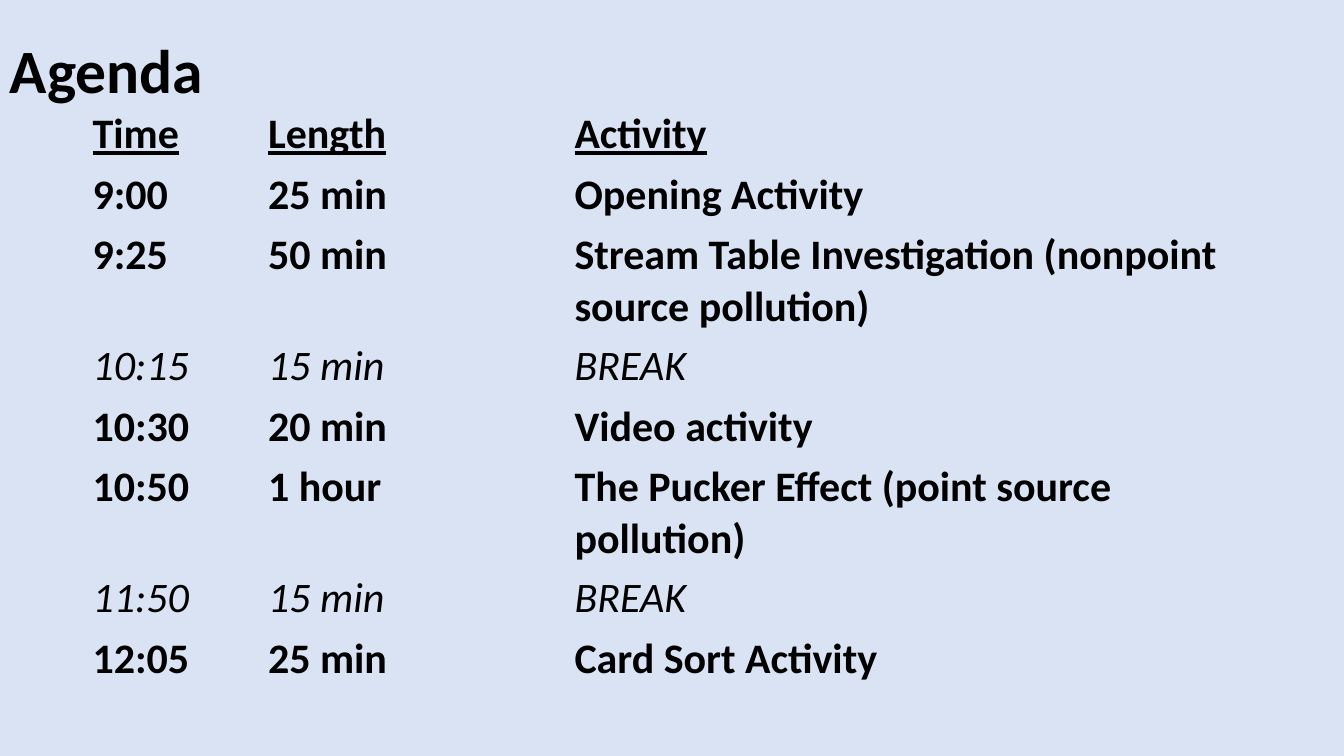
"""Build the agenda slide with its title and timetable."""
from lxml import etree
from pptx import Presentation
from pptx.dml.color import RGBColor
from pptx.enum import text
from pptx.oxml import ns
from pptx.util import Pt

COLORS = {"background": "DAE3F3", "text": "000000"}
FONT = "Calibri"
COLUMN_WIDTHS = (125.3, 218.9, 484.5)
ROW_HEIGHT = 29.5
STYLES = {
    "title": {"size": Pt(44), "bold": True},
    "header": {"size": Pt(30), "bold": True, "underline": True},
    "session": {"size": Pt(30), "bold": True},
    "break": {"size": Pt(30), "bold": False, "italic": True},
}
AGENDA = [
    ("header", "Time", "Length", "Activity"),
    ("session", "9:00", "25 min", "Opening Activity"),
    ("session", "9:25", "50 min",
     "Stream Table Investigation (nonpoint source pollution)"),
    ("break", "10:15", "15 min", "BREAK"),
    ("session", "10:30", "20 min", "Video activity"),
    ("session", "10:50", "1 hour",
     "The Pucker Effect (point source pollution)"),
    ("break", "11:50", "15 min", "BREAK"),
    ("session", "12:05", "25 min", "Card Sort Activity"),
]


def write(tf, words, style):
    """Put one styled run in a text frame and return its paragraph."""
    p = tf.paragraphs[0]
    r = p.add_run()
    r.text = words
    r.font.name = FONT
    r.font.color.rgb = RGBColor.from_string(COLORS["text"])
    for name, value in STYLES[style].items():
        setattr(r.font, name, value)
    return p


def add_title(s, words, left, top, width, height):
    """Add the slide title, centred vertically in its box."""
    tf = s.shapes.add_textbox(Pt(left), Pt(top), Pt(width), Pt(height)).text_frame
    tf.word_wrap = True
    tf.vertical_anchor = text.MSO_ANCHOR.MIDDLE
    write(tf, words, "title").line_spacing = 0.9


def clear_cell(cell):
    """Remove the fill and all four borders of a table cell."""
    cell.fill.background()
    tcPr = cell._tc.get_or_add_tcPr()
    for i, side in enumerate(("lnL", "lnR", "lnT", "lnB")):
        ln = etree.Element(ns.qn(f"a:{side}"))
        etree.SubElement(ln, ns.qn("a:noFill"))
        tcPr.insert(i, ln)


def add_agenda(s, rows, left, top):
    """Add the timetable, one styled row per agenda entry."""
    table = s.shapes.add_table(
        len(rows), len(COLUMN_WIDTHS), Pt(left), Pt(top),
        Pt(sum(COLUMN_WIDTHS)), Pt(ROW_HEIGHT * len(rows))).table
    table.first_row = table.horz_banding = False
    for column, width in zip(table.columns, COLUMN_WIDTHS):
        column.width = Pt(width)
    for row, (style, *entries) in zip(table.rows, rows):
        row.height = Pt(ROW_HEIGHT)
        for cell, words in zip(row.cells, entries):
            clear_cell(cell)
            write(cell.text_frame, words, style)


def main():
    """Create the presentation and save it."""
    prs = Presentation()
    prs.slide_width, prs.slide_height = Pt(960), Pt(540)
    s = prs.slides.add_slide(prs.slide_layouts[6])
    s.background.fill.solid()
    s.background.fill.fore_color.rgb = RGBColor.from_string(COLORS["background"])
    add_title(s, "Agenda", 0, 0, 828, 104.4)
    add_agenda(s, AGENDA, 59, 74.2)
    prs.save("out.pptx")


if __name__ == "__main__":
    main()
